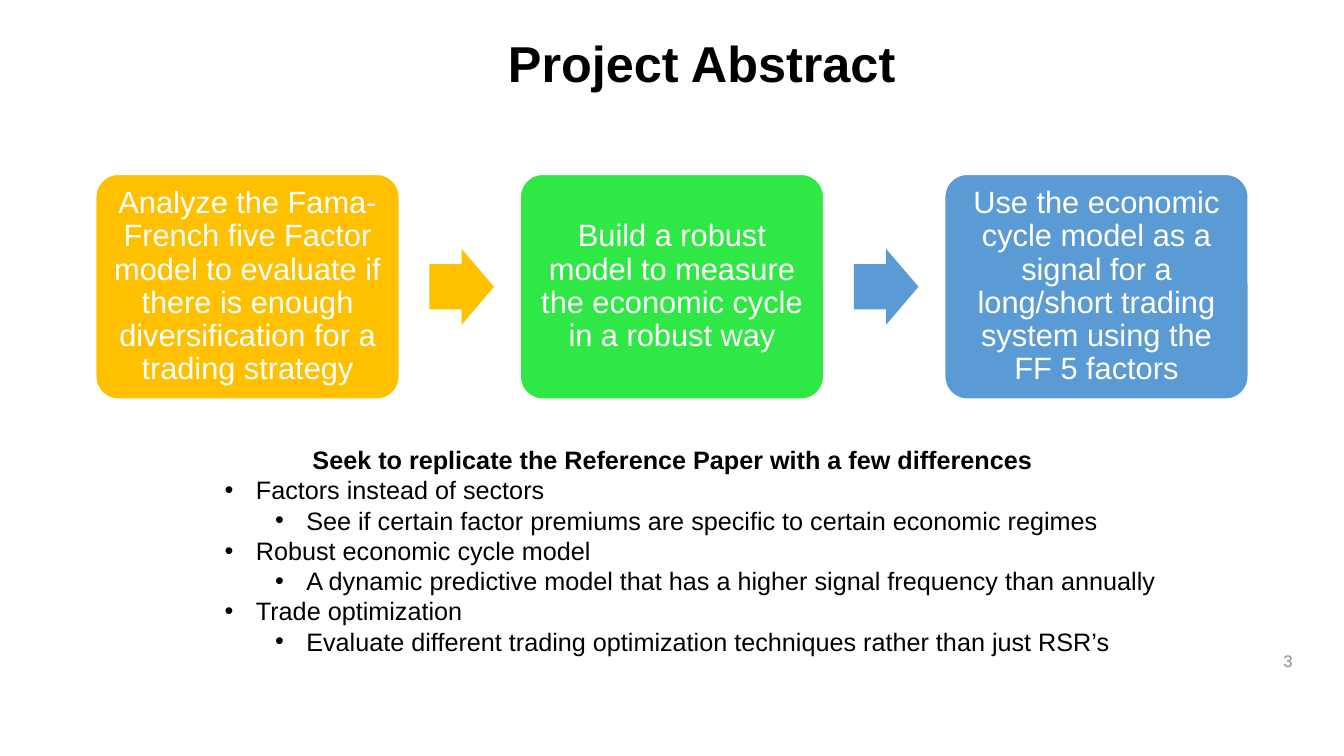
from dataclasses import dataclass
from lxml.etree import SubElement as Sub
from pptx import Presentation
from pptx.dml.color import RGBColor as Rgb
from pptx.enum.shapes import MSO_SHAPE as Shape
from pptx.enum.text import MSO_ANCHOR as Anchor, PP_ALIGN as Align
from pptx.oxml.ns import qn
from pptx.util import Inches, Pt


@dataclass(frozen=True)
class Theme:
    """Colours, font and type sizes of the slide."""
    font: str = "Arial"
    ink: str = "000000"
    paper: str = "FFFFFF"
    grey: str = "8C8C8C"
    gold: str = "FFC000"
    green: str = "30E845"
    blue: str = "5B9BD5"
    title: int = 36
    card: int = 22
    body: int = 18
    note: int = 12


THEME = Theme()
STEPS = [
    ("Analyze the Fama-French five Factor model to evaluate if there is "
     "enough diversification for a trading strategy", THEME.gold),
    ("Build a robust model to measure the economic cycle in a robust way",
     THEME.green),
    ("Use the economic cycle model as a signal for a long/short trading "
     "system using the FF 5 factors", THEME.blue),
]
ARROWS = [THEME.gold, THEME.blue]
LEAD = "Seek to replicate the Reference Paper with a few differences"
POINTS = [
    ("Factors instead of sectors",
     "See if certain factor premiums are specific to certain economic regimes"),
    ("Robust economic cycle model",
     "A dynamic predictive model that has a higher signal frequency than annually"),
    ("Trade optimization",
     "Evaluate different trading optimization techniques rather than just RSR’s"),
]


def write(para, text, size=THEME.body, color=THEME.ink, bold=False,
          align=Align.LEFT, level=0, space=None):
    """Fill a paragraph with formatted text; a level above 0 gets a bullet."""
    para.alignment = align
    para.line_spacing = space
    if level:
        para.level = level
        props = para._p.get_or_add_pPr()
        props.set("marL", str(Inches(0.31 + 0.5 * level)))
        props.set("indent", str(-Inches(0.31)))
        Sub(props, qn("a:buFont")).set("typeface", THEME.font)
        Sub(props, qn("a:buChar")).set("char", "•")
    run = para.add_run()
    run.text = text
    font = run.font
    font.name, font.size, font.bold = THEME.font, Pt(size), bold
    font.color.rgb = Rgb.from_string(color)


def add_text(slide, box, anchor=Anchor.TOP):
    """Add a wrapping text box and return its frame."""
    frame = slide.shapes.add_textbox(*map(Inches, box)).text_frame
    frame.word_wrap = True
    frame.vertical_anchor = anchor
    return frame


def add_block(slide, kind, box, color, *adjust):
    """Add a flat preset shape without an outline."""
    block = slide.shapes.add_shape(kind, *map(Inches, box))
    block.shadow.inherit = False
    block.fill.solid()
    block.fill.fore_color.rgb = Rgb.from_string(color)
    block.line.fill.background()
    for i, value in enumerate(adjust):
        block.adjustments[i] = value
    return block


def add_card(slide, box, text, color):
    """Draw one step as a rounded card with centred text."""
    card = add_block(slide, Shape.ROUNDED_RECTANGLE, box, color, 0.1)
    card.line.color.rgb = Rgb.from_string(THEME.paper)
    card.line.width = Pt(1)
    frame = card.text_frame
    frame.word_wrap = True
    frame.vertical_anchor = Anchor.MIDDLE
    frame.margin_left = frame.margin_right = Inches(0.09)
    frame.margin_top = frame.margin_bottom = Inches(0.09)
    write(frame.paragraphs[0], text, size=THEME.card, color=THEME.paper,
          align=Align.CENTER, space=0.9)


def add_flow(slide, box):
    """Spread the cards over the box, with an arrow in each gap."""
    left, top, width, height = box
    wide, long, tall = 3.01, 0.64, 0.75
    pitch = (width - wide) / (len(STEPS) - 1)
    for i, (text, color) in enumerate(STEPS):
        add_card(slide, (left + i * pitch, top, wide, height), text, color)
    for i, color in enumerate(ARROWS):
        spot = (left + i * pitch + wide + 0.3, top + (height - tall) / 2,
                long, tall)
        add_block(slide, Shape.RIGHT_ARROW, spot, color, 0.6, 0.5)


def add_points(slide, box):
    """Write the lead line and the two-level list."""
    frame = add_text(slide, box)
    write(frame.paragraphs[0], LEAD, bold=True, align=Align.CENTER)
    for pair in POINTS:
        for level, text in enumerate(pair, 1):
            write(frame.add_paragraph(), text, level=level)


def add_title(slide, box):
    """Write the slide title."""
    write(add_text(slide, box).paragraphs[0], "Project Abstract",
          size=THEME.title, bold=True, align=Align.CENTER)


def add_page(slide, box):
    """Write the page number."""
    write(add_text(slide, box, Anchor.MIDDLE).paragraphs[0], "3",
          size=THEME.note, color=THEME.grey, align=Align.RIGHT)


def main():
    """Build and save the slide."""
    deck = Presentation()
    deck.slide_width, deck.slide_height = Inches(13.33), Inches(7.5)
    slide = deck.slides.add_slide(deck.slide_layouts[6])
    add_title(slide, (2.3, 0.27, 9.32, 0.71))
    add_page(slide, (9.92, 6.36, 3, 0.4))
    add_points(slide, (1.63, 4.36, 10.08, 2.22))
    add_flow(slide, (0.95, 1.73, 11.43, 2.23))
    deck.save("out.pptx")


if __name__ == "__main__":
    main()
